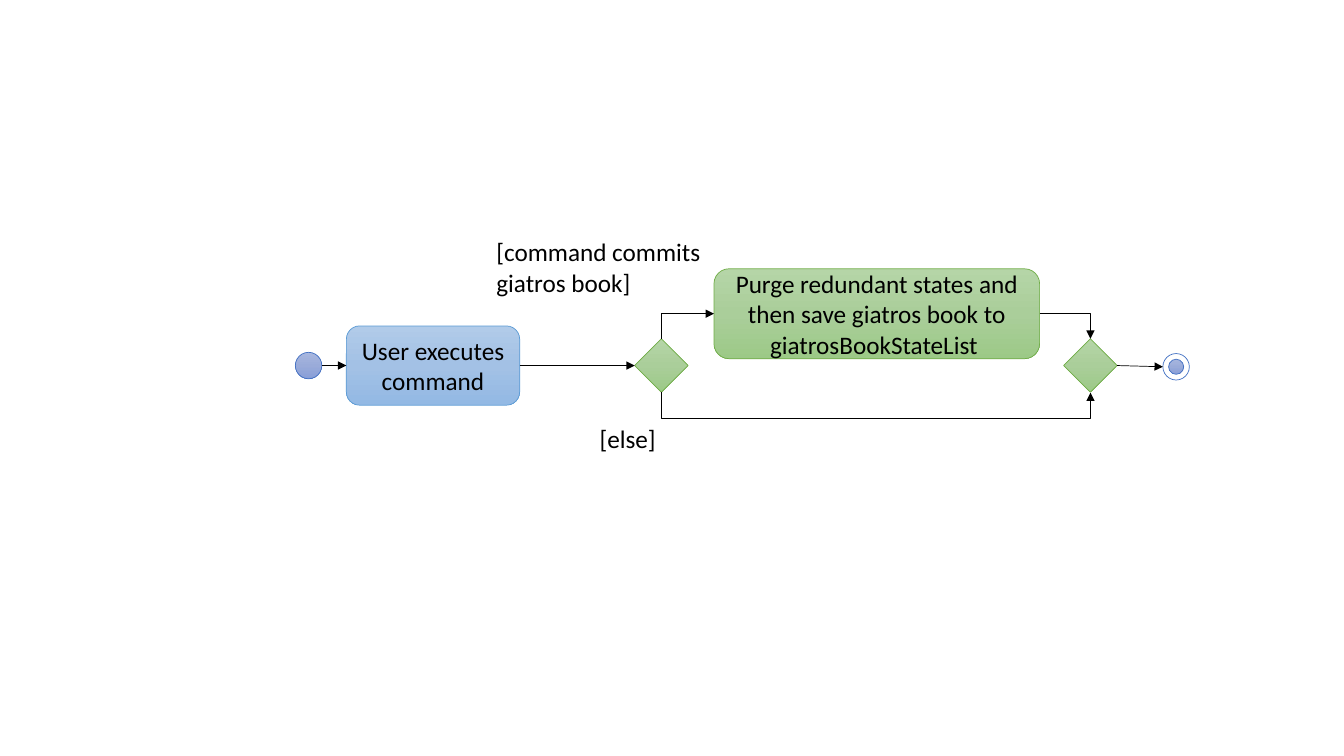
from copy import deepcopy

from lxml import etree
from pptx import Presentation
from pptx.dml import color
from pptx.enum import shapes, text
from pptx.oxml import ns
from pptx.util import Pt

COLORS = {
    "black": "000000", "white": "FFFFFF",
    "indigo line": "4472C4", "blue line": "5B9BD5", "green line": "70AD47",
}
GRADIENTS = {
    "indigo": ("A8B7DF", "9AABD9", "889ED7"),
    "blue": ("B1CBE9", "A3C1E5", "93B9E4"),
    "green": ("B5D5A7", "AACE9A", "9CC987"),
}
TOP, LEFT, BOTTOM, RIGHT = range(4)  # connection sites
FLOW_Y = 261.1  # axis of the main flow


def rgb(hex_string):
    return color.RGBColor.from_string(hex_string)


class ActivityDiagram:
    font, size, line_width = "Calibri", 18, 0.5

    def __init__(self, slide):
        self.slide = slide

    def set_text(self, shape, words, alignment):
        frame = shape.text_frame
        frame.text = words
        frame.word_wrap = True
        paragraph = frame.paragraphs[0]
        paragraph.alignment = alignment
        font = paragraph.runs[0].font
        font.name, font.size = self.font, Pt(self.size)
        font.color.rgb = rgb(COLORS["black"])

    def node(self, kind, center_x, center_y, width, height, hue, group=None, filled=True):
        """Preset shape around a centre point, with a vertical gradient or white."""
        parent = group or self.slide
        shape = parent.shapes.add_shape(
            kind, Pt(center_x - width / 2), Pt(center_y - height / 2), Pt(width), Pt(height))
        shape.shadow.inherit = False
        shape.line.color.rgb = rgb(COLORS[hue + " line"])
        shape.line.width = Pt(self.line_width)
        if not filled:
            shape.fill.solid()
            shape.fill.fore_color.rgb = rgb(COLORS["white"])
            return shape
        shape.fill.gradient()
        shape.fill.gradient_angle = 270
        stop_list = shape.element.spPr.find(".//" + ns.qn("a:gsLst"))
        stop_list.append(deepcopy(stop_list[-1]))
        for index, stop in enumerate(shape.fill.gradient_stops):
            stop.position = index / 2
            stop.color.rgb = rgb(GRADIENTS[hue][index])
        return shape

    def circle(self, center_x, center_y, diameter, **options):
        return self.node(shapes.MSO_SHAPE.OVAL, center_x, center_y,
                         diameter, diameter, "indigo", **options)

    def decision(self, center_x):
        return self.node(shapes.MSO_SHAPE.DIAMOND, center_x, FLOW_Y, 38.2, 38.2, "green")

    def action(self, words, center_x, center_y, width, height, hue):
        shape = self.node(shapes.MSO_SHAPE.ROUNDED_RECTANGLE,
                          center_x, center_y, width, height, hue)
        shape.text_frame.vertical_anchor = text.MSO_ANCHOR.MIDDLE
        self.set_text(shape, words, text.PP_ALIGN.CENTER)
        return shape

    def label(self, words, left, top, width, height):
        box = self.slide.shapes.add_textbox(Pt(left), Pt(top), Pt(width), Pt(height))
        self.set_text(box, words, text.PP_ALIGN.LEFT)
        box.text_frame.auto_size = text.MSO_AUTO_SIZE.SHAPE_TO_FIT_TEXT

    def arrow(self, start, start_site, end, end_site, kind=shapes.MSO_CONNECTOR.STRAIGHT):
        connector = self.slide.shapes.add_connector(kind, 0, 0, 0, 0)
        connector.begin_connect(start, start_site)
        connector.end_connect(end, end_site)
        # An oval has eight connection sites instead of four
        for shape, site, tag in ((start, start_site, "a:stCxn"), (end, end_site, "a:endCxn")):
            if shape.auto_shape_type == shapes.MSO_SHAPE.OVAL:
                connector.element.find(".//" + ns.qn(tag)).set("idx", str(site * 2))
        connector.line.color.rgb = rgb(COLORS["black"])
        connector.line.width = Pt(self.line_width)
        properties = connector.element.spPr
        line = properties.find(ns.qn("a:ln"))
        etree.SubElement(line, ns.qn("a:tailEnd"), type="triangle")
        etree.SubElement(properties, ns.qn("a:effectLst"))
        return connector

    def elbow(self, start, start_site, end, end_site, preset="bentConnector2",
              turn=0, flips=(), drop=0):
        """Bent arrow; a quarter turn swaps the frame's sides about its centre."""
        connector = self.arrow(start, start_site, end, end_site, shapes.MSO_CONNECTOR.ELBOW)
        properties = connector.element.spPr
        geometry = properties.find(ns.qn("a:prstGeom"))
        geometry.set("prst", preset)
        if turn:
            width, height = connector.width, max(connector.height, Pt(0.25))
            shift = (width - height) // 2
            connector.left, connector.top = connector.left + shift, connector.top - shift
            connector.width, connector.height = height, width
            frame = properties.find(ns.qn("a:xfrm"))
            frame.set("rot", str(turn * 60000))
            for flip in ("flipH", "flipV"):
                frame.set(flip, str(int(flip in flips)))
        if drop:
            ratio = round(Pt(drop) / connector.width * 100000)
            etree.SubElement(geometry.find(ns.qn("a:avLst")), ns.qn("a:gd"),
                             name="adj1", fmla=f"val {ratio}")


def main():
    presentation = Presentation()
    presentation.slide_width, presentation.slide_height = Pt(960), Pt(540)
    slide = presentation.slides.add_slide(presentation.slide_layouts[6])
    diagram = ActivityDiagram(slide)

    # Nodes
    start = diagram.circle(220.4, FLOW_Y, 18.9)
    execute = diagram.action("User executes command", 309.3, FLOW_Y, 123.8, 56.6, "blue")
    branch = diagram.decision(472.5)
    purge = diagram.action(
        "Purge redundant states and then save giatros book to giatrosBookStateList ",
        626.3, 224.1, 232.6, 64.2, "green")
    merge = diagram.decision(778.9)
    end_group = slide.shapes.add_group_shape()
    end = diagram.circle(840.1, 262, 18.9, group=end_group, filled=False)
    diagram.circle(840.1, 262, 10.8, group=end_group)

    # Branch conditions
    diagram.label("[command commits giatros book]", 347.5, 165.6, 162.7, 50.9)
    diagram.label("[else]", 421.2, 298.9, 67, 29.1)

    # Main flow
    for source, target in ((start, execute), (execute, branch), (merge, end)):
        diagram.arrow(source, RIGHT, target, LEFT)

    # Branches
    diagram.elbow(branch, TOP, purge, LEFT, turn=90, flips=("flipH", "flipV"))
    diagram.elbow(purge, RIGHT, merge, TOP)
    diagram.elbow(branch, BOTTOM, merge, BOTTOM, "bentConnector3",
                  turn=270, flips=("flipH",), drop=18)

    presentation.save("out.pptx")


if __name__ == "__main__":
    main()
